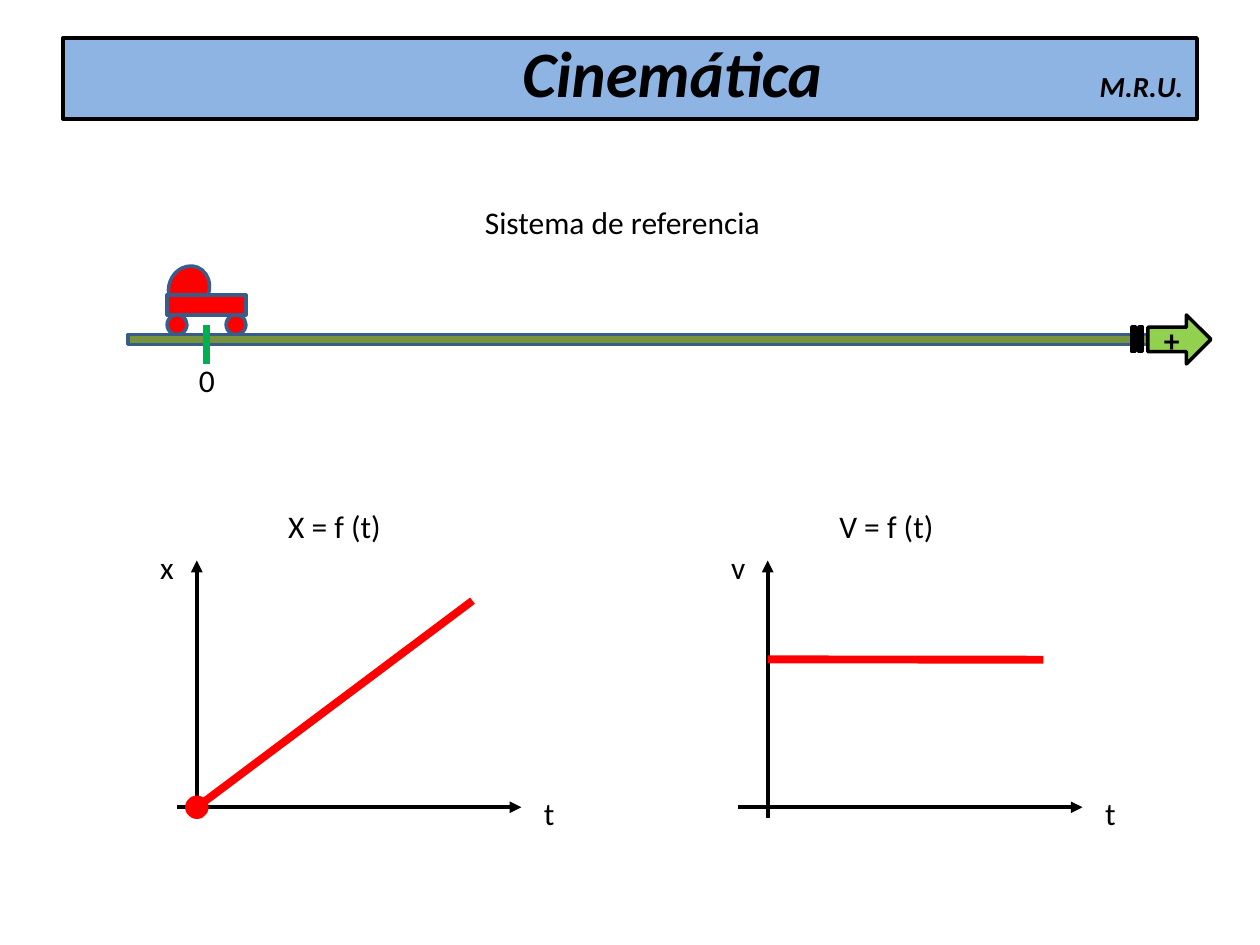
from dataclasses import dataclass

from lxml.etree import SubElement
from pptx import Presentation
from pptx.dml.color import RGBColor
from pptx.enum.shapes import MSO_CONNECTOR, MSO_SHAPE
from pptx.enum.text import MSO_ANCHOR, PP_ALIGN
from pptx.oxml.ns import qn
from pptx.util import Pt


@dataclass(frozen=True)
class Theme:
    font: str = "Calibri"
    black: str = "000000"
    red: str = "FF0000"
    blue: str = "385D8A"
    sky: str = "8EB4E3"
    road: str = "77933C"
    lime: str = "92D050"
    green: str = "00B050"
    head: float = 37
    note: float = 16.6
    body: float = 18
    thin: float = 2
    axis: float = 2.25
    bold: float = 4.5


def write(para, text, size, font, color, bold=False, italic=False):
    run = para.add_run()
    run.text = text
    face = run.font
    face.name, face.size = font, Pt(size)
    face.bold, face.italic = bold, italic
    face.color.rgb = RGBColor.from_string(color)


class Board:
    def __init__(self, slide, theme):
        self.slide, self.theme = slide, theme

    def paint(self, shape, fill, line, width):
        shape.shadow.inherit = False
        shape.fill.solid()
        shape.fill.fore_color.rgb = RGBColor.from_string(fill)
        shape.line.color.rgb = RGBColor.from_string(line)
        shape.line.width = Pt(width)
        return shape

    def shape(self, kind, box, fill, line, width=None, turn=0):
        item = self.slide.shapes.add_shape(kind, *map(Pt, box))
        item.rotation = turn
        return self.paint(item, fill, line, width or self.theme.thin)

    def outline(self, loops, fill, line):
        first, *rest = loops
        pen = self.slide.shapes.build_freeform(*first[0], scale=Pt(1))
        pen.add_line_segments(first[1:])
        for loop in rest:
            pen.move_to(*loop[0])
            pen.add_line_segments(loop[1:])
        return self.paint(pen.convert_to_shape(), fill, line, self.theme.thin)

    def line(self, start, end, color, width, arrow=False):
        item = self.slide.shapes.add_connector(
            MSO_CONNECTOR.STRAIGHT, *map(Pt, (*start, *end)))
        item.line.color.rgb = RGBColor.from_string(color)
        item.line.width = Pt(width)
        props = item.element.spPr
        if arrow:
            SubElement(props.find(qn("a:ln")), qn("a:tailEnd"), type="triangle")
        SubElement(props, qn("a:effectLst"))

    def label(self, text, left, top, width):
        box = self.slide.shapes.add_textbox(*map(Pt, (left, top, width, 29)))
        box.text_frame.word_wrap = True
        t = self.theme
        write(box.text_frame.paragraphs[0], text, t.body, t.font, t.black)

    def title(self, text, note):
        t = self.theme
        bar = self.shape(MSO_SHAPE.RECTANGLE, (36, 21.8, 648, 46), t.sky, t.black, t.axis)
        frame = bar.text_frame
        frame.word_wrap = True
        frame.vertical_anchor = MSO_ANCHOR.MIDDLE
        para = frame.paragraphs[0]
        para.alignment = PP_ALIGN.LEFT
        para.line_spacing = 0.8
        tabs = SubElement(para._p.get_or_add_pPr(), qn("a:tabLst"))
        for pos, side in ((341, "ctr"), (633, "r")):
            SubElement(tabs, qn("a:tab"), pos=str(Pt(pos)), algn=side)
        write(para, "\t" + text, t.head, t.font, t.black, bold=True, italic=True)
        write(para, "\t" + note, t.note, t.font, t.black, bold=True, italic=True)

    def car(self, left, top):
        t = self.theme
        wheel = 11.3
        self.shape(MSO_SHAPE.CHORD, (left - 0.5, top, 26, 23), t.red, t.blue, turn=112.3)
        self.shape(MSO_SHAPE.RECTANGLE, (left, top + 15.3, 45, wheel), t.red, t.blue)
        for x in (left, left + 45 - wheel):
            self.shape(MSO_SHAPE.OVAL, (x, top + 26.6, wheel, wheel), t.red, t.blue)

    def arrow(self, left, mid):
        t = self.theme
        half, neck, tip = 14.1, 7, 45
        barb = left + tip - half
        head = [(barb, mid - half), (left + tip, mid), (barb, mid + half),
                (barb, mid + neck), (left + 8.8, mid + neck),
                (left + 8.8, mid - neck), (barb, mid - neck), (barb, mid - half)]
        bars = [[(x, mid - neck), (x, mid + neck), (x + 2.2, mid + neck),
                 (x + 2.2, mid - neck), (x, mid - neck)]
                for x in (left, left + 4.4)]
        item = self.outline([head, *bars], t.lime, t.black)
        item.text_frame.vertical_anchor = MSO_ANCHOR.MIDDLE
        para = item.text_frame.paragraphs[0]
        para.alignment = PP_ALIGN.CENTER
        write(para, "+", t.body, t.font, t.black, bold=True)

    def graph(self, name, head, left, axis, base, start, end):
        t = self.theme
        self.line((axis, base + 6), (axis, base - 141), t.black, t.axis, arrow=True)
        self.line((left, base), (left + 196.6, base), t.black, t.axis, arrow=True)
        self.line((axis, base - start), (axis + 157.5, base - end), t.red, t.bold)
        self.label(name, axis - 28, base - 151.7, 22.5)
        self.label("t", left + 202.4, base - 11.3, 21.5)
        self.label(f"{name.upper()} = f (t)", head, base - 175, 107)


def main():
    deck = Presentation()
    deck.slide_width, deck.slide_height = Pt(720), Pt(540)
    theme = Theme()
    board = Board(deck.slides.add_slide(deck.slide_layouts[6]), theme)

    # Title bar
    board.title("Cinemática", "M.R.U.")

    # Reference system: car, road, origin and direction
    board.label("Sistema de referencia", 270, 112.3, 174)
    board.car(95.5, 153.3)
    board.shape(MSO_SHAPE.RECTANGLE, (73.2, 191.2, 585, 5.6), theme.road, theme.blue)
    board.line((118, 185.7), (118, 208), theme.green, theme.bold)
    board.label("0", 106.6, 202.5, 22.5)
    board.arrow(646.8, 194)

    # Position and speed against time
    base = 461.3
    board.graph("x", 157.6, 101.3, 112.5, base, 0, 118)
    board.shape(MSO_SHAPE.OVAL, (106.8, base - 5.7, 11.4, 11.4), theme.red, theme.red)
    board.graph("v", 472.5, 422, 438.7, base, 84.5, 84.3)

    deck.save("out.pptx")


if __name__ == "__main__":
    main()
